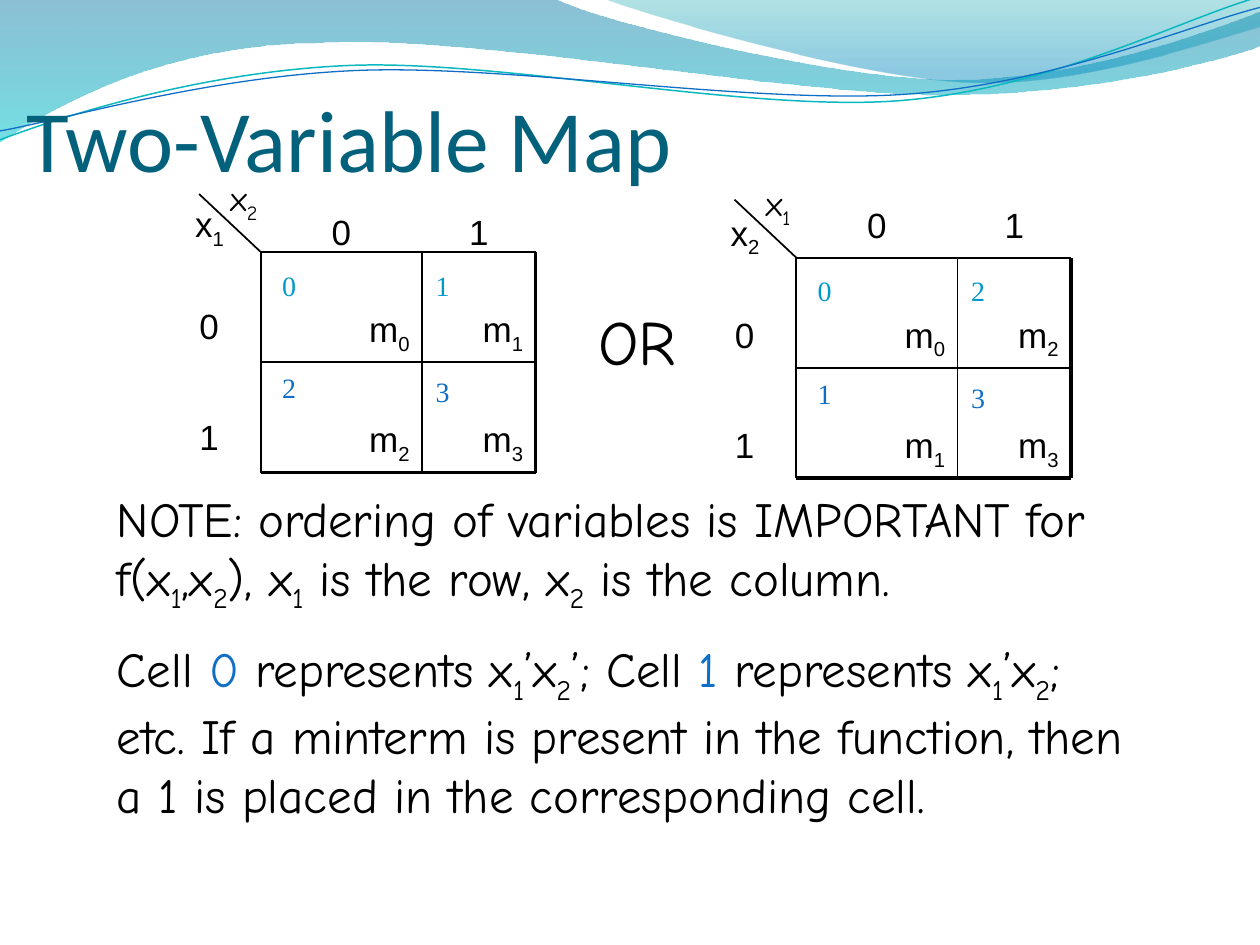
from dataclasses import dataclass
from math import cos, radians, sin
from lxml.etree import SubElement
from pptx import Presentation
from pptx.dml.color import RGBColor
from pptx.enum.text import MSO_ANCHOR, PP_ALIGN
from pptx.oxml.ns import qn
from pptx.util import Inches, Pt


@dataclass(frozen=True)
class Theme:
    ink: str = "000000"
    title: str = "04617B"
    blue: str = "0F6FC6"
    cyan: str = "0099CC"
    teal: str = "0AB8BF"
    sans: str = "Arial"
    hand: str = "Comic Neue"
    serif: str = "Times New Roman"
    heading: str = "Calibri"
    title_size: int = 50
    or_size: int = 36
    body_size: int = 28
    label_size: int = 20
    index_size: int = 16


T = Theme()
TILT = -2.7
LABEL_INSETS = (0.1, 0.44, 0.1, 0.05)

NOTES = [
    "NOTE: ordering of variables is IMPORTANT for f(x_1,x_2), x_1 is the row, x_2 is the column.",
    "Cell #0 represents x_1’x_2’; Cell #1 represents x_1’x_2; etc. If a minterm is present "
    "in the function, then a 1 is placed in the corresponding cell.",
]

LARGE_WAVE = [
    (0, -0.01), (4.4, -0.01),
    (4.76, 0.17, 6.64, 0.63, 7.58, 0.63), (8.53, 0.63, 9.58, 0.26, 10, 0.09),
    (10.01, 0.36),
    (9.83, 0.44, 8.7, 0.76, 7.46, 0.75), (6.22, 0.75, 3.82, 0.28, 2.57, 0.34),
    (1.29, 0.35, 0.46, 0.83, -0.01, 1.13), (0, -0.01),
]
SMALL_WAVE = [
    (4.79, -0.01),
    (5.09, 0.11, 6.82, 0.62, 7.69, 0.65), (8.56, 0.69, 9.61, 0.32, 10, 0.21),
    (10, 0), (4.79, -0.01),
]
TEAL_CURVE = [
    (0, 1.11),
    (0.48, 0.93, 1.58, 0.57, 2.77, 0.52), (3.95, 0.47, 5.93, 0.89, 7.13, 0.8),
    (8.33, 0.71, 9.38, 0.15, 9.98, -0.02),
]
BLUE_CURVE = [
    (0, 1.04),
    (0.47, 0.96, 1.64, 0.61, 2.83, 0.56), (4.03, 0.51, 5.97, 0.83, 7.17, 0.75),
    (8.36, 0.67, 9.41, 0.21, 10, 0.06),
]


def rgb(color):
    return RGBColor.from_string(color)


def turn(path, angle):
    cx, cy = ((path[0][i] + path[-1][i - 2]) / 2 for i in (0, 1))
    c, n = cos(radians(angle)), sin(radians(angle))
    turned = []
    for seg in path:
        pairs = [(x - cx, y - cy) for x, y in zip(seg[::2], seg[1::2])]
        turned.append([v for x, y in pairs for v in (cx + x * c - y * n, cy + x * n + y * c)])
    return turned


def add_outline(s, path, closed):
    start, *rest = [(Inches(x), Inches(y))
                    for seg in path for x, y in zip(seg[::2], seg[1::2])]
    builder = s.shapes.build_freeform(*start, scale=1.0)
    builder.add_line_segments(rest, close=closed)
    sp = builder.convert_to_shape()
    sp.shadow.inherit = False
    lines = iter(list(sp.element.spPr.iter(qn("a:lnTo"))))
    for seg in path[1:]:
        first = next(lines)
        if len(seg) == 6:
            first.tag = qn("a:cubicBezTo")
            for _ in range(2):
                control = next(lines)
                first.append(control[0])
                control.getparent().remove(control)
    return sp


def add_wave(s, path, stops):
    sp = add_outline(s, path, True)
    sp.line.fill.background()
    sp.fill.gradient()
    sp.fill.gradient_angle = 270
    for stop, (position, color, _) in zip(sp.fill.gradient_stops, stops):
        stop.position = position
        stop.color.rgb = rgb(color)
    for clr, (_, _, opacity) in zip(sp.element.spPr.iter(qn("a:srgbClr")), stops):
        SubElement(clr, qn("a:alpha"), val=str(opacity * 1000))


def add_curve(s, path, color, width):
    sp = add_outline(s, turn(path, -TILT), False)
    sp.rotation = TILT
    sp.fill.background()
    sp.line.color.rgb = rgb(color)
    sp.line.width = Pt(width)


def add_line(s, x1, y1, x2, y2, width=1):
    line = s.shapes.add_connector(1, Inches(x1), Inches(y1), Inches(x2), Inches(y2))
    line.line.color.rgb = rgb(T.ink)
    line.line.width = Pt(width)
    SubElement(line.element.spPr, qn("a:effectLst"))


def pieces(text):
    plain, chars = "", iter(text)
    for c in chars:
        if c in "_#":
            yield plain, ""
            yield next(chars), c
            plain = ""
        else:
            plain += c
    yield plain, ""


def add_text(s, text, x, y, w, h, size=T.label_size, font=T.sans, color=T.ink,
             align=PP_ALIGN.LEFT, anchor=MSO_ANCHOR.TOP, wrap=True, before=0, insets=None):
    tf = s.shapes.add_textbox(Inches(x), Inches(y), Inches(w), Inches(h)).text_frame
    tf.word_wrap = wrap
    tf.vertical_anchor = anchor
    if insets:
        tf.margin_left, tf.margin_top, tf.margin_right, tf.margin_bottom = map(Inches, insets)
    for i, line in enumerate([text] if isinstance(text, str) else text):
        p = tf.paragraphs[0] if i == 0 else tf.add_paragraph()
        p.alignment = align
        p.space_before = Pt(before)
        for chunk, mark in pieces(line):
            if not chunk:
                continue
            r = p.add_run()
            r.text = chunk
            r.font.size = Pt(size)
            r.font.name = font
            r.font.color.rgb = rgb(T.blue if mark == "#" else color)
            if mark == "_":
                r.font._element.set("baseline", "-25000")


def add_label(s, text, x, y, w, align):
    add_text(s, text, x, y, w, 0.88, align=align, insets=LABEL_INSETS)


def add_map(s, x, y, row_var, col_var, cells, header_dy, row_dy, corner_dy):
    cols, rows = [(x, 1.28), (x + 1.28, 0.9)], [y, y + 0.875]
    right, bottom = x + 2.18, y + 1.75
    for i, (left, width) in enumerate(cols):
        add_label(s, str(i), left, y + header_dy, width, PP_ALIGN.CENTER)
        add_line(s, left, y, left, bottom)
    add_line(s, right, y, right, bottom, 2.25)
    for i, top in enumerate(rows):
        add_label(s, str(i), x - 0.82, top + row_dy, 0.82, PP_ALIGN.CENTER)
        add_line(s, x, top, right, top)
        for j, (left, width) in enumerate(cols):
            index = str(cells[i][j])
            add_label(s, "m_" + index, left, top, width, PP_ALIGN.RIGHT)
            add_text(s, index, x + 0.07 + 1.22 * j, top + 0.08 - 0.06 * i + 0.03 * i * j,
                     0.31, 0.37, size=T.index_size, font=T.serif,
                     color=T.blue if i else T.cyan, wrap=False)
    add_line(s, x, bottom, right, bottom, 2.25)
    add_line(s, x - 0.49, y - 0.46, x, y)
    add_label(s, row_var, x - 0.62, y + corner_dy, 0.82, PP_ALIGN.LEFT)
    add_text(s, col_var, x - 0.34, y - 0.65, 0.47, 0.43, font=T.hand, wrap=False)


def main():
    prs = Presentation()
    prs.slide_width, prs.slide_height = Inches(10), Inches(7.5)
    s = prs.slides.add_slide(prs.slide_layouts[6])
    add_wave(s, LARGE_WAVE, [(0, "0074A1", 45), (1, "00C6CF", 55)])
    add_wave(s, SMALL_WAVE, [(0, "00A1A9", 30), (0.8, "008BBF", 45)])
    add_curve(s, TEAL_CURVE, T.teal, 0.85)
    add_curve(s, BLUE_CURVE, T.blue, 0.75)
    add_text(s, "Two-Variable Map", 0.21, 0.26, 9.08, 1.25, size=T.title_size, font=T.heading,
             color=T.title, anchor=MSO_ANCHOR.BOTTOM, insets=(0, 0.05, 0, 0))
    add_map(s, 2.07, 2, "x_1", "x_2", [[0, 1], [2, 3]], -0.77, -0.02, -0.83)
    add_map(s, 6.32, 2.045, "x_2", "x_1", [[0, 2], [1, 3]], -0.87, 0, -0.81)
    add_text(s, "OR", 4.65, 2.35, 0.91, 0.7, size=T.or_size, font=T.hand, wrap=False)
    add_text(s, NOTES, 0.83, 3.83, 8.33, 3.14, size=T.body_size, font=T.hand, before=14)
    prs.save("out.pptx")


main()
